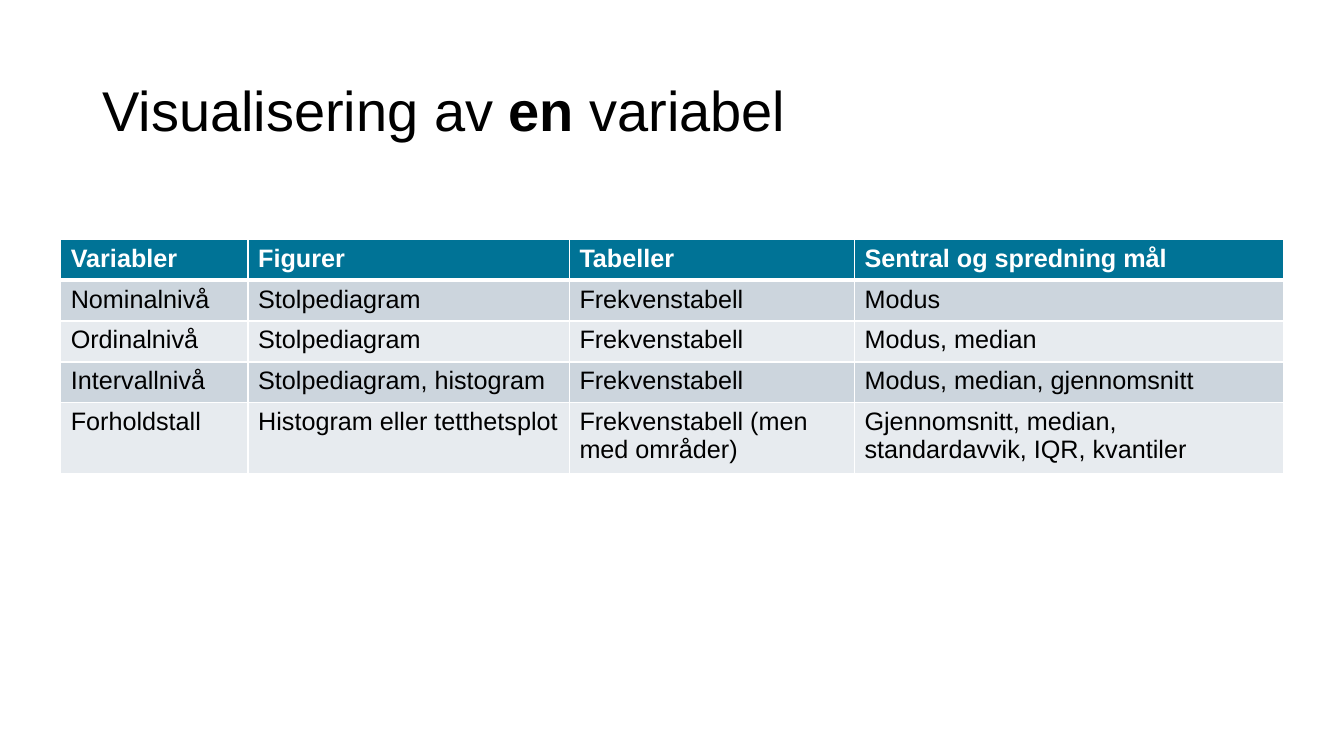
from lxml.etree import SubElement
from pptx import Presentation
from pptx.dml.color import RGBColor
from pptx.enum.text import MSO_ANCHOR
from pptx.oxml.ns import qn
from pptx.util import Cm, Pt

FONT = "Arial"
COLORS = {
    "text": "000000",
    "header": "007396",
    "header_text": "FFFFFF",
    "odd_row": "CCD5DD",
    "even_row": "E7EBEF",
    "border": "FFFFFF",
}
TITLE = [("Visualisering av ", False), ("en", True), (" variabel", False)]
LEVELS = [
    ("Variabler", "Figurer", "Tabeller", "Sentral og spredning mål"),
    ("Nominalnivå", "Stolpediagram", "Frekvenstabell", "Modus"),
    ("Ordinalnivå", "Stolpediagram", "Frekvenstabell", "Modus, median"),
    ("Intervallnivå", "Stolpediagram, histogram", "Frekvenstabell",
     "Modus, median, gjennomsnitt"),
    ("Forholdstall", "Histogram eller tetthetsplot",
     "Frekvenstabell (men med områder)",
     "Gjennomsnitt, median, standardavvik, IQR, kvantiler"),
]
COLUMN_SHARES = [1.86, 3.19, 2.83, 4.26]
ROW_HEIGHTS = [1.03, 1.03, 1.03, 1.03, 1.69]


def color(name):
    return RGBColor.from_string(COLORS[name])


def set_font(font, size, color_name):
    font.name = FONT
    font.size = Pt(size)
    font.color.rgb = color(color_name)


def add_title(slide, left, top, width, height):
    title = slide.shapes.add_textbox(Cm(left), Cm(top), Cm(width), Cm(height))
    frame = title.text_frame
    frame.word_wrap = True
    frame.vertical_anchor = MSO_ANCHOR.MIDDLE
    heading = frame.paragraphs[0]
    heading.line_spacing = 0.9
    set_font(heading.font, 40, "text")
    for words, bold in TITLE:
        run = heading.add_run()
        run.text = words
        run.font.bold = bold


def set_borders(cell, row):
    """Draw thin lines round the cell and a thick one below the header row."""
    widths = {
        "a:lnL": 1,
        "a:lnR": 1,
        "a:lnT": 3 if row == 1 else 1,
        "a:lnB": 3 if row == 0 else 1,
    }
    properties = cell._tc.get_or_add_tcPr()
    for side, width in widths.items():
        line = SubElement(properties, qn(side), w=str(Pt(width)))
        fill = SubElement(line, qn("a:solidFill"))
        SubElement(fill, qn("a:srgbClr"), val=COLORS["border"])


def add_levels_table(slide, left, top, width):
    levels = slide.shapes.add_table(
        len(LEVELS), len(COLUMN_SHARES),
        Cm(left), Cm(top), Cm(width), Cm(sum(ROW_HEIGHTS))).table
    for column, share in zip(levels.columns, COLUMN_SHARES):
        column.width = Cm(width * share / sum(COLUMN_SHARES))
    for row, height in zip(levels.rows, ROW_HEIGHTS):
        row.height = Cm(height)

    for r, entries in enumerate(LEVELS):
        is_header = r == 0
        band = "header" if is_header else "odd_row" if r % 2 else "even_row"
        for c, entry in enumerate(entries):
            cell = levels.cell(r, c)
            cell.text = entry
            font = cell.text_frame.paragraphs[0].font
            set_font(font, 18, "header_text" if is_header else "text")
            font.bold = is_header
            set_borders(cell, r)
            cell.fill.solid()
            cell.fill.fore_color.rgb = color(band)


def main():
    deck = Presentation()
    deck.slide_width, deck.slide_height = Cm(33.87), Cm(19.05)
    slide = deck.slides.add_slide(deck.slide_layouts[6])
    add_title(slide, 2.33, 1.01, 29.21, 3.68)
    add_levels_table(slide, 1.53, 6.03, 30.82)
    deck.save("out.pptx")


if __name__ == "__main__":
    main()
